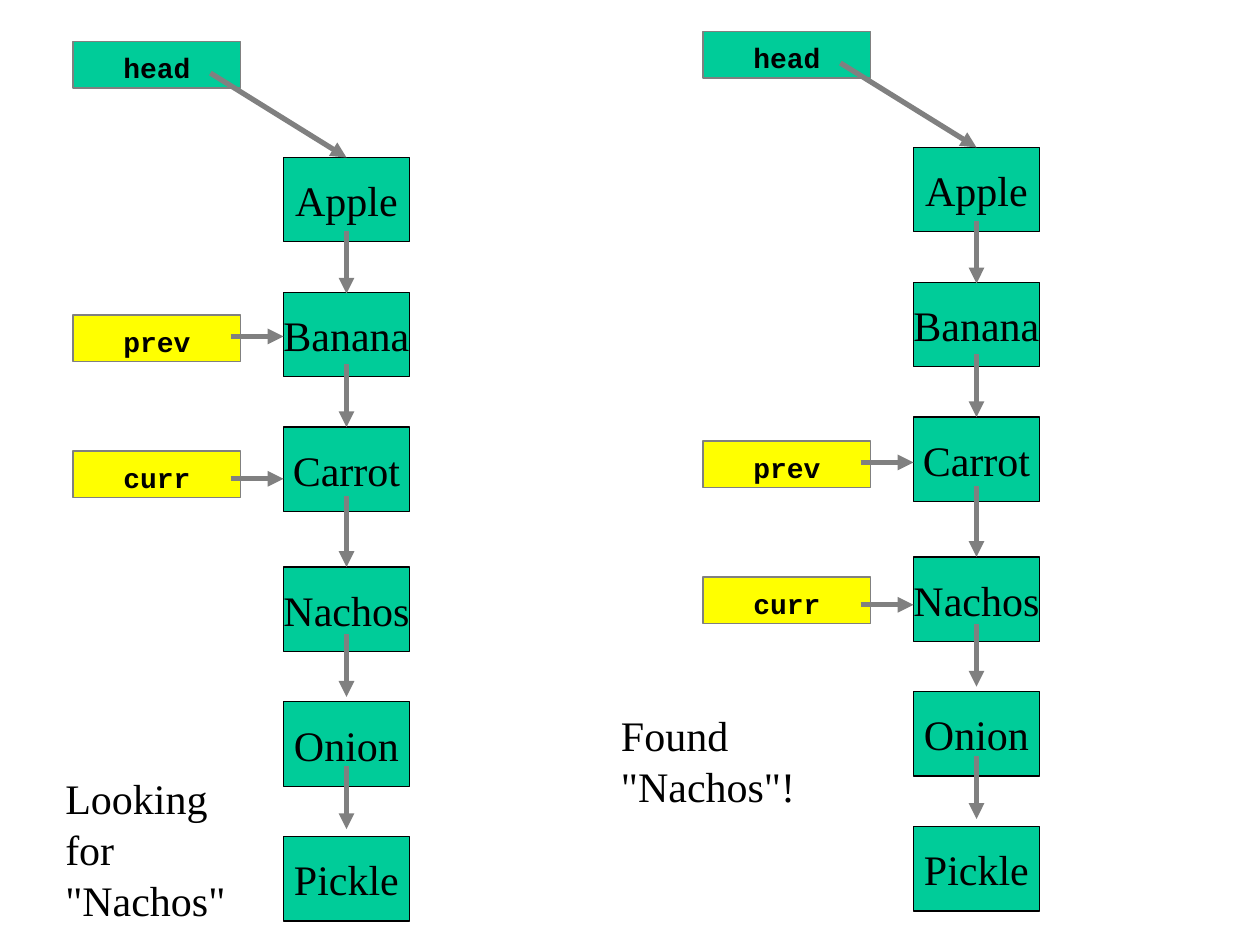
import pptx
import pptx.util
import pptx.dml.color
import pptx.enum.shapes
import pptx.enum.text
import pptx.oxml.ns
from lxml import etree

Inches = pptx.util.Inches
Pt = pptx.util.Pt
RGBColor = pptx.dml.color.RGBColor
ALIGN = pptx.enum.text.PP_ALIGN
ANCHOR = pptx.enum.text.MSO_ANCHOR

GREEN = RGBColor(0x00, 0xCC, 0x99)
YELLOW = RGBColor(0xFF, 0xFF, 0x00)
GRAY = RGBColor(0x80, 0x80, 0x80)
BLACK = RGBColor(0x00, 0x00, 0x00)

FOODS = ["Apple", "Banana", "Carrot", "Nachos", "Onion", "Pickle"]
NODE_TOPS = [0, 1.07, 2.14, 3.25, 4.32, 5.39]
LINKS = [(0.58, 0.5), (1.64, 0.5), (2.69, 0.56), (3.78, 0.5), (4.83, 0.5)]


def set_text(sp, text, font="Times New Roman", size=24, spacing=29, bold=False,
             align=ALIGN.LEFT, anchor=ANCHOR.TOP, wrap=True):
    tf = sp.text_frame
    tf.word_wrap = wrap
    tf.vertical_anchor = anchor
    p = tf.paragraphs[0]
    p.alignment = align
    p.line_spacing = Pt(spacing)
    r = p.add_run()
    r.text = text
    r.font.name = font
    r.font.size = Pt(size)
    r.font.bold = bold
    r.font.color.rgb = BLACK


class ListSlide:
    def __init__(self, s):
        self.s = s

    def box(self, x, y, w, h, fill, line):
        sp = self.s.shapes.add_shape(pptx.enum.shapes.MSO_SHAPE.RECTANGLE,
                                     Inches(x), Inches(y), Inches(w), Inches(h))
        sp.shadow.inherit = False
        sp.fill.solid()
        sp.fill.fore_color.rgb = fill
        sp.line.color.rgb = line
        sp.line.width = Pt(0.75)
        return sp

    def node(self, text, x, y):
        sp = self.box(x, y, 1, 0.67, GREEN, BLACK)
        set_text(sp, text, align=ALIGN.CENTER, anchor=ANCHOR.MIDDLE, wrap=False)

    def pointer(self, text, x, y, fill):
        sp = self.box(x, y, 1.33, 0.37, fill, GRAY)
        set_text(sp, text, font="Courier New", size=16, spacing=21, bold=True,
                 align=ALIGN.CENTER)

    def arrow(self, x1, y1, x2, y2):
        c = self.s.shapes.add_connector(pptx.enum.shapes.MSO_CONNECTOR.STRAIGHT,
                                        Inches(x1), Inches(y1), Inches(x2), Inches(y2))
        c.line.color.rgb = GRAY
        c.line.width = Pt(3)
        qn = pptx.oxml.ns.qn
        etree.SubElement(c.line._get_or_add_ln(), qn("a:tailEnd"), type="triangle")
        etree.SubElement(c._element.spPr, qn("a:effectLst"))

    def caption(self, text, x, y, w, h):
        sp = self.s.shapes.add_textbox(Inches(x), Inches(y), Inches(w), Inches(h))
        set_text(sp, text)

    def linked_list(self, x, y, prev_top):
        node_x, mid, first = x + 1.67, x + 2.17, y + 0.92
        for food, top in zip(FOODS, NODE_TOPS):
            self.node(food, node_x, first + top)
        self.pointer("head", x, y, GREEN)
        self.arrow(x + 1.09, y + 0.25, mid, first)
        for start, length in LINKS:
            self.arrow(mid, first + start, mid, first + start + length)
        for name, top, drop in [("prev", prev_top, 0.17), ("curr", prev_top + 1.08, 0.22)]:
            self.pointer(name, x, top, YELLOW)
            self.arrow(x + 1.25, top + drop, node_x, top + drop)


def main():
    prs = pptx.Presentation()
    prs.slide_width = Inches(10)
    prs.slide_height = Inches(7.5)
    slide = ListSlide(prs.slides.add_slide(prs.slide_layouts[6]))
    slide.caption('Looking for "Nachos"', 0.42, 6.08, 1.5, 1.3)
    slide.linked_list(0.58, 0.33, 2.5)
    slide.linked_list(5.58, 0.25, 3.5)
    slide.caption('Found "Nachos"!', 4.83, 5.58, 1.75, 0.9)
    prs.save("out.pptx")


if __name__ == "__main__":
    main()
